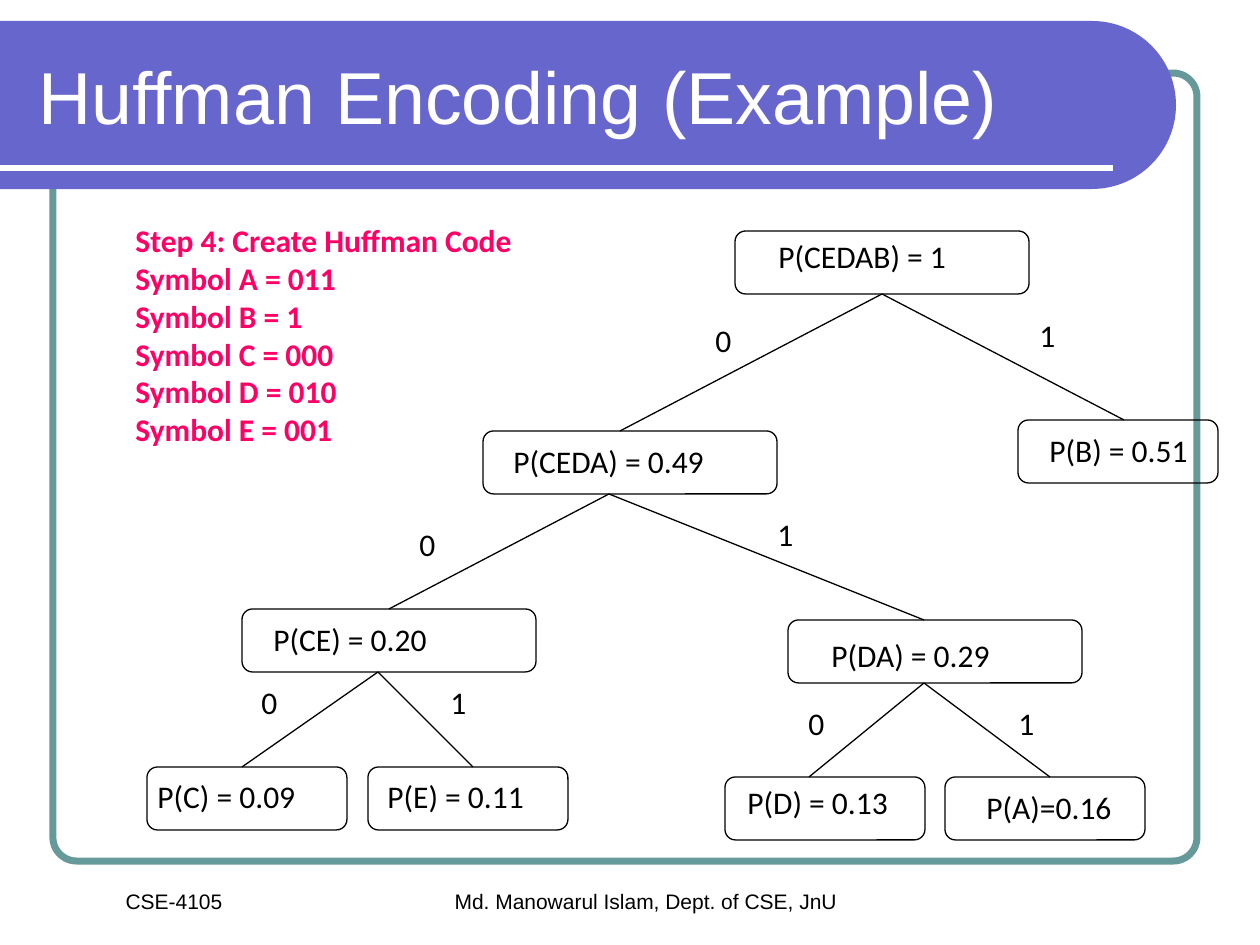
import math

import lxml.etree
import pptx
import pptx.dml.color
import pptx.enum.shapes
import pptx.enum.text
import pptx.oxml.ns
import pptx.util

# Content; lengths in px, 126 to the inch
COLORS = {"band": "6666CC", "frame": "669999", "white": "FFFFFF",
          "ink": "000000", "code": "FF0066"}
TITLE = ("Huffman Encoding (Example)", (26, 32, 1105, 126))
FOOTERS = [("Md. Manowarul Islam, Dept. of CSE, JnU", (221, 882, 850, 77)),
           ("CSE-4105", (32, 882, 284, 38))]
CODES = [("A", "011"), ("B", "1"), ("C", "000"), ("D", "010"), ("E", "001")]
CODE_BOX = (123, 215, 461, 239)

NODE_HEIGHT, LABEL_HEIGHT, BIT_WIDTH = 63, 50, 43
LEAF_WIDTH, INNER_WIDTH = 200, 294
# label, node left and top, node width, label left, top and width
NODES = [
    ("P(C) = 0.09", (147, 767), LEAF_WIDTH, (145, 771, 188)),
    ("P(E) = 0.11", (368, 767), LEAF_WIDTH, (375, 771, 185)),
    ("P(D) = 0.13", (725, 777), LEAF_WIDTH, (735, 777, 188)),
    ("P(A)=0.16", (945, 777), LEAF_WIDTH, (974, 782, 168)),
    ("P(B) = 0.51", (1018, 420), LEAF_WIDTH, (1037, 425, 185)),
    ("P(CE) = 0.20", (242, 609), INNER_WIDTH, (261, 614, 208)),
    ("P(DA) = 0.29", (788, 620), INNER_WIDTH, (819, 630, 208)),
    ("P(CEDA) = 0.49", (483, 431), INNER_WIDTH, (501, 436, 252)),
    ("P(CEDAB) = 1", (735, 231), INNER_WIDTH, (766, 231, 229)),
]
# parent point, then (child point, bit position) for bits 0 and 1
BRANCHES = [
    ((378, 672), [((242, 767), (249, 677)), ((473, 767), (438, 677))]),
    ((924, 683), [((809, 777), (796, 698)), ((1050, 777), (1006, 698))]),
    ((609, 494), [((389, 609), (407, 519)), ((924, 620), (765, 509))]),
    ((882, 294), [((620, 431), (703, 315)), ((1124, 420), (1027, 310))]),
]

# Text formats
NODE_TEXT = {"size": pptx.util.Pt(18), "name": "Calibri", "bold": False}
CODE_TEXT = {**NODE_TEXT, "bold": True}
FOOTER_TEXT = {"size": pptx.util.Pt(12), "name": "Arial"}
TITLE_TEXT = {"size": pptx.util.Pt(42), "name": "Arial"}
LEFT = pptx.enum.text.PP_ALIGN.LEFT
CENTER = pptx.enum.text.PP_ALIGN.CENTER
SHAPES = pptx.enum.shapes.MSO_SHAPE


def px(value):
    return pptx.util.Emu(round(value * 914400 / 126))


def rgb(name):
    return pptx.dml.color.RGBColor.from_string(COLORS[name])


def write(shape, lines, font_format, color="ink", align=LEFT):
    frame = shape.text_frame
    frame.word_wrap = True
    frame.text = "\n".join(lines)
    for paragraph in frame.paragraphs:
        paragraph.alignment = align
        font = paragraph.runs[0].font
        for attribute, value in font_format.items():
            setattr(font, attribute, value)
        font.color.rgb = rgb(color)


def add_text(slide, box, lines, font_format, color="ink", align=LEFT):
    shape = slide.shapes.add_textbox(*map(px, box))
    write(shape, lines, font_format, color, align)


def add_round_box(slide, box, radius, color, width):
    shape = slide.shapes.add_shape(SHAPES.ROUNDED_RECTANGLE, *map(px, box))
    shape.adjustments[0] = radius
    shape.shadow.inherit = False
    shape.fill.background()
    shape.line.color.rgb = rgb(color)
    shape.line.width = pptx.util.Pt(width)


def add_line(slide, start, end, color="ink", width=0.75):
    line = slide.shapes.add_connector(
        pptx.enum.shapes.MSO_CONNECTOR.STRAIGHT, *map(px, start + end))
    line.line.color.rgb = rgb(color)
    line.line.width = pptx.util.Pt(width)
    lxml.etree.SubElement(line.element.spPr, pptx.oxml.ns.qn("a:effectLst"))


def add_band(slide, top=21, center_x=1092, radius=84, steps=60):
    """Title band whose right end is a half circle."""
    angles = [math.pi * (step / steps - 0.5) for step in range(steps + 1)]
    points = [(px(center_x + radius * math.cos(angle)),
               px(top + radius + radius * math.sin(angle))) for angle in angles]
    builder = slide.shapes.build_freeform(0, px(top))
    builder.add_line_segments(points + [(0, px(top + 2 * radius))], close=True)
    band = builder.convert_to_shape()
    band.shadow.inherit = False
    band.fill.solid()
    band.fill.fore_color.rgb = rgb("band")
    band.line.fill.background()


def add_title(slide):
    text, box = TITLE
    title = slide.shapes.title
    title.left, title.top, title.width, title.height = map(px, box)
    write(title, [text], TITLE_TEXT, "white")
    title.text_frame.vertical_anchor = pptx.enum.text.MSO_ANCHOR.MIDDLE
    title.text_frame.auto_size = pptx.enum.text.MSO_AUTO_SIZE.NONE
    title.element.getparent().append(title.element)  # in front of the band


def main():
    presentation = pptx.Presentation()
    presentation.slide_width, presentation.slide_height = px(1260), px(945)
    slide = presentation.slides.add_slide(presentation.slide_layouts[5])

    # Frame, title band and footers
    add_round_box(slide, (53, 73, 1144, 788), 0.03, "frame", 4)
    add_band(slide)
    add_line(slide, (0, 168), (1113, 168), "white", 3)
    for text, box in FOOTERS:
        add_text(slide, box, [text], FOOTER_TEXT, align=CENTER)
    add_title(slide)

    # Tree nodes
    for label, position, width, (left, top, label_width) in NODES:
        add_round_box(slide, (*position, width, NODE_HEIGHT), 0.167, "ink", 0.75)
        add_text(slide, (left, top, label_width, LABEL_HEIGHT), [label], NODE_TEXT)

    # Branches with their bits
    for parent, children in BRANCHES:
        for bit, (child, position) in enumerate(children):
            add_line(slide, parent, child)
            add_text(slide, (*position, BIT_WIDTH, LABEL_HEIGHT), [str(bit)], NODE_TEXT)

    # Resulting codes
    lines = ["Step 4: Create Huffman Code"]
    lines += [f"Symbol {symbol} = {code}" for symbol, code in CODES]
    add_text(slide, CODE_BOX, lines, CODE_TEXT, "code")

    presentation.save("out.pptx")


if __name__ == "__main__":
    main()
